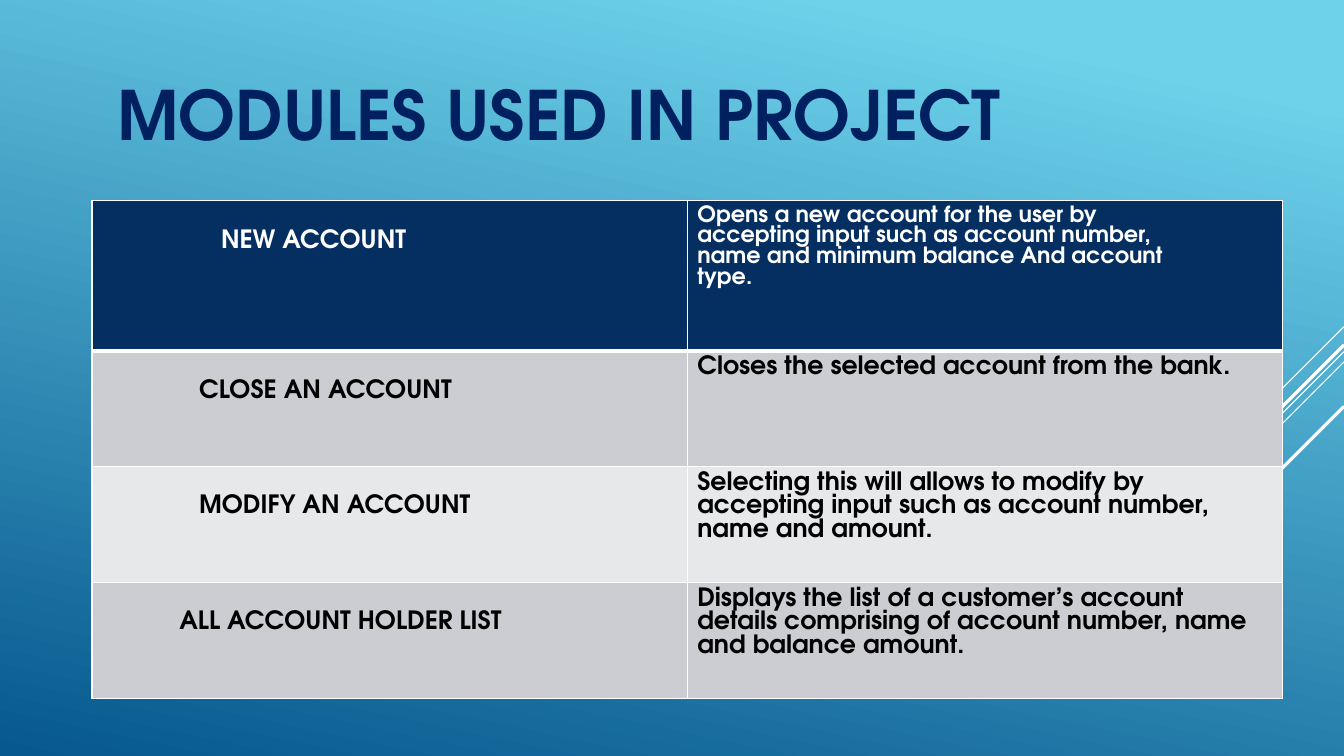
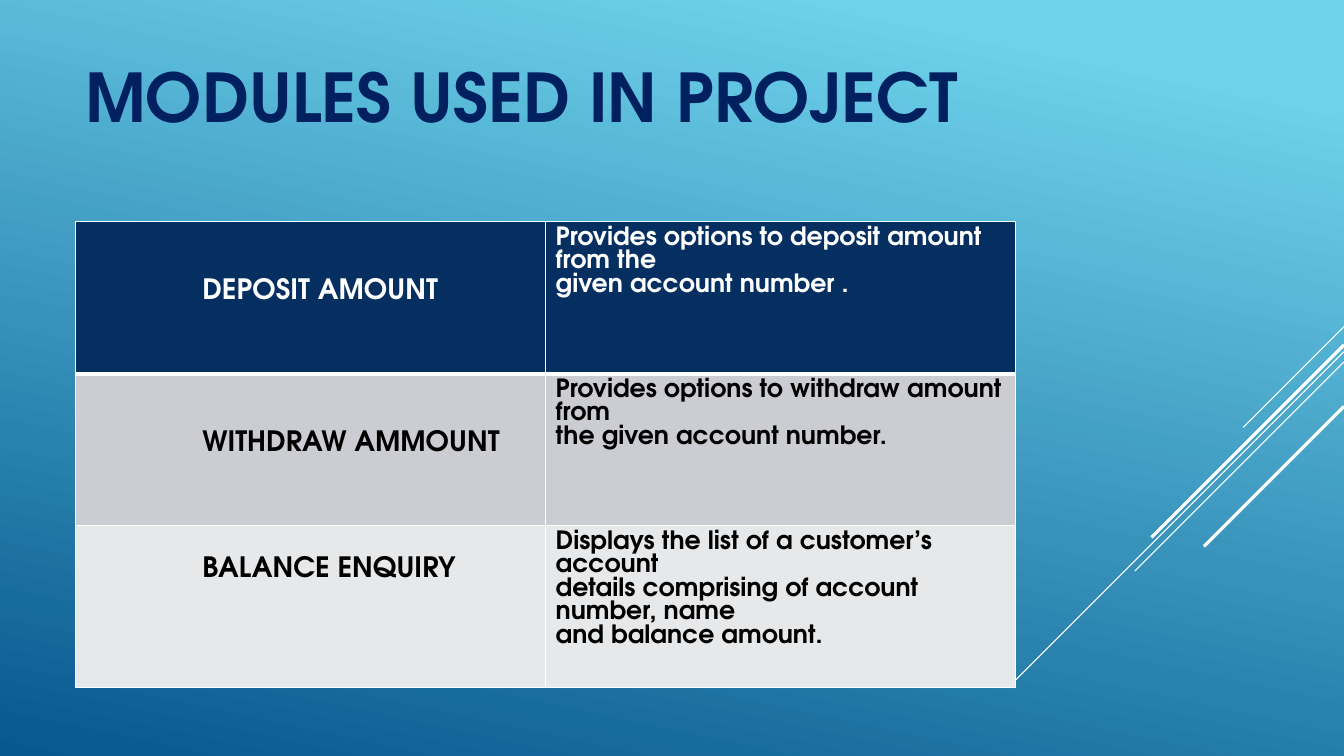
from lxml.etree import SubElement
from pptx import Presentation
from pptx.dml.color import RGBColor
from pptx.enum.shapes import MSO_CONNECTOR
from pptx.enum.text import MSO_ANCHOR
from pptx.oxml import parse_xml
from pptx.oxml.ns import nsdecls, qn
from pptx.util import Cm, Pt

FONT = "TeX Gyre Adventor"
WHITE, BLACK, TITLE_NAVY = "FFFFFF", "000000", "002060"
HEADER_NAVY, BAND_GREY, BAND_LIGHT = "052F61", "CCCDD2", "E7E8EA"
SKY, DEEP_BLUE = "6ED2EB", "06588E"
SLIDE_WIDTH, SLIDE_HEIGHT = 33.87, 19.05
TITLE = "MODULES USED IN PROJECT"
CELL_MARGIN = 0.13

# Diagonal stripes: start height on the right edge, horizontal reach, weight
STRIPES = [
    (8.23, 2.54, 0.75),
    (8.86, 8.28, 0.75),
    (9.12, 5.27, 0.75),
    (8.69, 4.85, 2.25),
    (10.24, 3.53, 2.25),
]

# Rows: module, its left indent and drop in cm, description lines
ACCOUNT_MODULES = [
    ("NEW ACCOUNT", 3.25, 0.59, [
        "Opens a new account for the user by",
        "accepting input such as account number,",
        "name and minimum balance And account",
        "type."]),
    ("CLOSE AN ACCOUNT", 2.7, 0.59, [
        "Closes the selected account from the bank."]),
    ("MODIFY AN ACCOUNT", 2.7, 0.59, [
        "Selecting this will allows to modify by",
        "accepting input such as account number,",
        "name and amount."]),
    ("ALL ACCOUNT HOLDER LIST", 2.2, 0.59, [
        "Displays the list of a customer’s account",
        "details comprising of account number, name",
        "and balance amount."]),
]
AMOUNT_MODULES = [
    ("DEPOSIT AMOUNT", 3.2, 1.31, [
        "Provides options to deposit amount from the",
        "given account number ."]),
    ("WITHDRAW AMMOUNT", 3.2, 1.31, [
        "Provides options to withdraw amount from",
        "the given account number."]),
    ("BALANCE ENQUIRY", 3.2, 0.65, [
        "Displays the list of a customer’s account",
        "details comprising of account number, name",
        "and balance amount."]),
]


def rgb(code):
    return RGBColor.from_string(code)


def write(frame, lines, size, color):
    """Fill a text frame with one bold paragraph per line."""
    frame.word_wrap = True
    for index, line in enumerate(lines):
        paragraph = frame.paragraphs[0] if index == 0 else frame.add_paragraph()
        run = paragraph.add_run()
        run.text = line
        run.font.name = FONT
        run.font.size = Pt(size)
        run.font.bold = True
        run.font.color.rgb = rgb(color)


def paint_background(slide):
    fill = slide.background.fill
    fill.gradient()
    fill.gradient_angle = 258
    for stop, position, color in zip(fill.gradient_stops, (0.1, 1), (SKY, DEEP_BLUE)):
        stop.position = position
        stop.color.rgb = rgb(color)


def add_stripes(slide, right):
    for top, reach, weight in STRIPES:
        stripe = slide.shapes.add_connector(
            MSO_CONNECTOR.STRAIGHT, Cm(right), Cm(top), Cm(right - reach), Cm(top + reach))
        stripe.line.color.rgb = rgb(WHITE)
        stripe.line.width = Pt(weight)
        SubElement(stripe._element.spPr, qn("a:effectLst"))


def add_title(slide, box, size):
    title = slide.shapes.add_textbox(*map(Cm, box))
    title.text_frame.vertical_anchor = MSO_ANCHOR.MIDDLE
    write(title.text_frame, [TITLE], size, TITLE_NAVY)


def set_borders(cell, top, bottom):
    """Draw white borders; top and bottom are weights in points."""
    properties = cell._tc.get_or_add_tcPr()
    weights = {"lnL": 1, "lnR": 1, "lnT": top, "lnB": bottom}
    for index, (side, weight) in enumerate(weights.items()):
        properties.insert(index, parse_xml(
            f'<a:{side} {nsdecls("a")} w="{Pt(weight)}"><a:solidFill>'
            f'<a:srgbClr val="{WHITE}"/></a:solidFill></a:{side}>'))


def add_modules_table(slide, box, row_heights, modules, name_size, header_size):
    left, top, width = box
    table = slide.shapes.add_table(
        len(modules), 2, Cm(left), Cm(top), Cm(width), Cm(sum(row_heights))).table
    for column in table.columns:
        column.width = Cm(width / 2)
    for index, (name, indent, drop, description) in enumerate(modules):
        table.rows[index].height = Cm(row_heights[index])
        is_header = index == 0
        band = HEADER_NAVY if is_header else (BAND_LIGHT, BAND_GREY)[index % 2]
        ink = WHITE if is_header else BLACK
        name_cell, description_cell = table.rows[index].cells
        for cell in (name_cell, description_cell):
            cell.fill.solid()
            cell.fill.fore_color.rgb = rgb(band)
            set_borders(cell, 3 if index == 1 else 1, 3 if is_header else 1)
        name_cell.margin_left = Cm(indent)
        name_cell.margin_top = Cm(CELL_MARGIN + drop)
        write(name_cell.text_frame, [name], name_size, ink)
        write(description_cell.text_frame, description, header_size if is_header else 18, ink)


def add_modules_slide(deck, title_box, title_size, **table_parts):
    slide = deck.slides.add_slide(deck.slide_layouts[6])
    paint_background(slide)
    add_stripes(slide, SLIDE_WIDTH)
    add_title(slide, title_box, title_size)
    add_modules_table(slide, **table_parts)


def main():
    deck = Presentation()
    deck.slide_width, deck.slide_height = Cm(SLIDE_WIDTH), Cm(SLIDE_HEIGHT)
    add_modules_slide(
        deck, (2.7, 1.3, 23.7, 3.12), 48.6,
        box=(2.32, 5.06, 30), row_heights=[3.78] + [2.92] * 3,
        modules=ACCOUNT_MODULES, name_size=18, header_size=16)
    add_modules_slide(
        deck, (1.9, 0.74, 23.7, 3.33), 48,
        box=(1.9, 5.59, 23.7), row_heights=[3.83] * 3,
        modules=AMOUNT_MODULES, name_size=20, header_size=18)
    deck.save("out.pptx")


if __name__ == "__main__":
    main()
